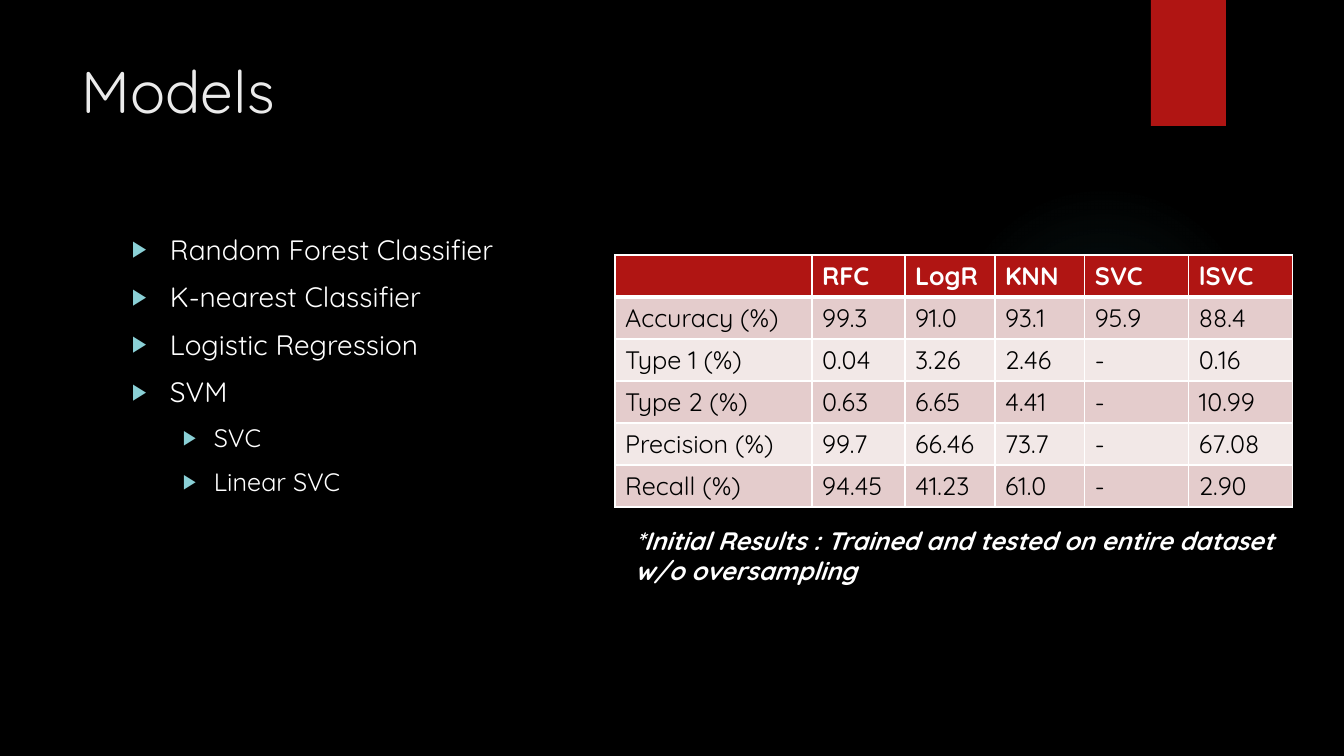
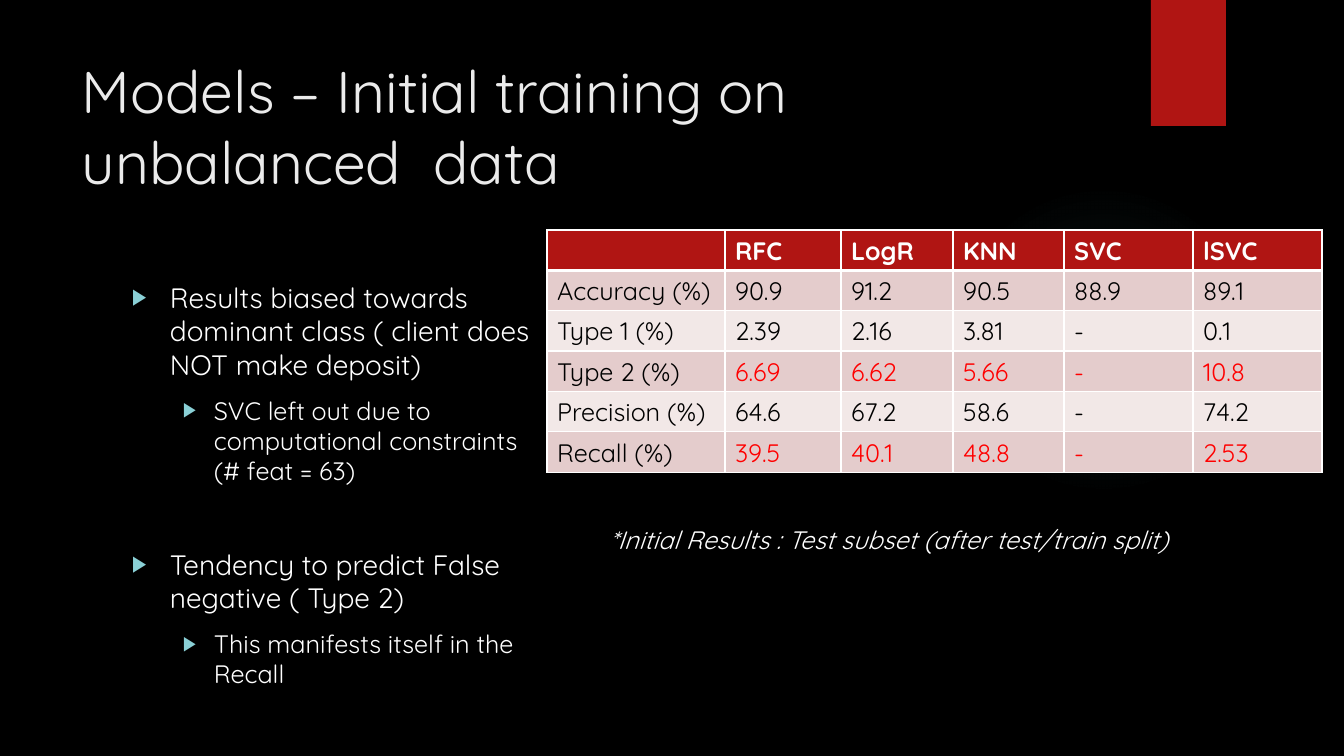
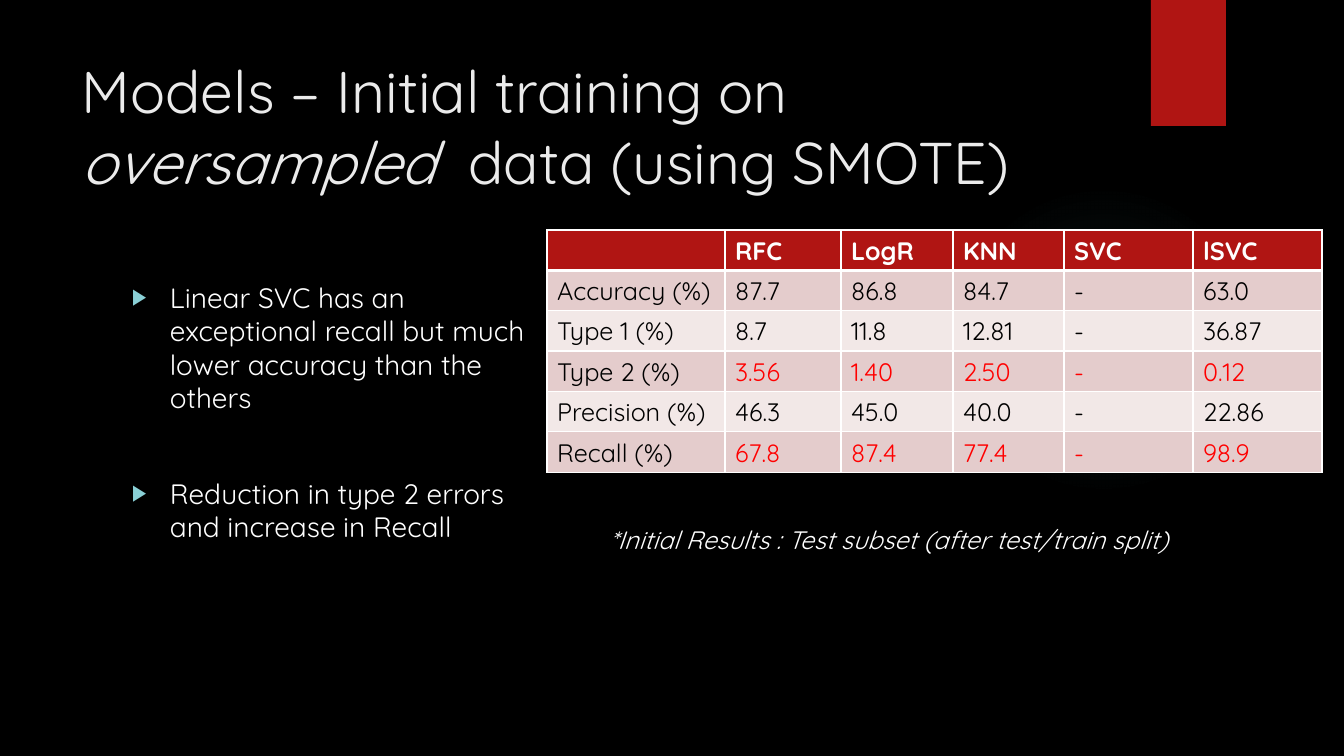
from dataclasses import dataclass

from pptx import Presentation
from pptx.dml.color import RGBColor
from pptx.enum.shapes import MSO_SHAPE as SHAPE
from pptx.enum.text import MSO_ANCHOR as ANCHOR
from pptx.oxml import parse_xml
from pptx.oxml.ns import nsdecls
from pptx.util import Emu, Pt


@dataclass(frozen=True)
class Theme:
    font: str = "Quicksand"
    background: str = "000000"
    title: str = "EBEBEB"
    text: str = "FFFFFF"
    accent: str = "B01513"
    bullet: str = "8AD0D6"
    glow: str = "50B9C1"
    cell_text: str = "000000"
    highlight: str = "FF0000"
    bands: tuple = ("E4CCCC", "F2E8E7")
    title_size: int = 42
    body_sizes: tuple = (20, 18)
    table_size: int = 18
    note_size: int = 18


T = Theme()
SLIDE_W, SLIDE_H = 1344, 756
SCALE = 12192000 / SLIDE_W

TITLE_BOX = (72, 50, 1037, 154)
BODY_BOX = (122, 227, 424, 463)
RIBBON_BOX = (1151, 0, 75, 126)
GLOW_BOX = (949, 185, 310, 310)
GLOW_STOPS = ((0, 7), (36, 6), (69, 0))  # position %, opacity %
BULLET_INDENTS = ((38, -38), (82, -31))  # left margin, first line, per level
SPACE, WIDE_SPACE = 10, 44  # points before a paragraph
INSET, LOW_INSET = 5, 53  # px above the first bullet

MODELS = ("RFC", "LogR", "KNN", "SVC", "lSVC")
METRICS = ("Accuracy (%)", "Type 1 (%)", "Type 2 (%)", "Precision (%)", "Recall (%)")
KEY_METRICS = ("Type 2 (%)", "Recall (%)")

WIDE_TABLE = dict(at=(547, 230), cols=(178, 116, 112, 111, 129, 129), row=40)
SPLIT_NOTE = dict(text="*Initial Results : Test subset (after test/train split)",
                  box=(600, 519, 702, 40), bold=False)

# Title runs are (text, italic); bullets are (level, space before, text).
SLIDES = [
    dict(
        title=[("Models", False)],
        inset=INSET,
        bullets=[
            (0, SPACE, "Random Forest Classifier"),
            (0, SPACE, "K-nearest Classifier"),
            (0, SPACE, "Logistic Regression"),
            (0, SPACE, "SVM"),
            (1, SPACE, "SVC"),
            (1, SPACE, "Linear SVC"),
        ],
        table=dict(at=(615, 255), cols=(197, 93, 90, 90, 104, 104), row=42),
        results=[
            ("99.3", "91.0", "93.1", "95.9", "88.4"),
            ("0.04", "3.26", "2.46", "-", "0.16"),
            ("0.63", "6.65", "4.41", "-", "10.99"),
            ("99.7", "66.46", "73.7", "-", "67.08"),
            ("94.45", "41.23", "61.0", "-", "2.90"),
        ],
        key_metrics=(),
        note=dict(
            text="*Initial Results : Trained and tested on entire dataset w/o oversampling",
            box=(625, 520, 661, 72), bold=True),
    ),
    dict(
        title=[("Models – Initial training on unbalanced  data", False)],
        inset=LOW_INSET,
        bullets=[
            (0, SPACE, "Results biased towards dominant class ( client does NOT make deposit)"),
            (1, SPACE, "SVC left out due to computational constraints (# feat = 63)"),
            (0, WIDE_SPACE, "Tendency to predict False negative ( Type 2)"),
            (1, SPACE, "This manifests itself in the Recall"),
        ],
        table=WIDE_TABLE,
        results=[
            ("90.9", "91.2", "90.5", "88.9", "89.1"),
            ("2.39", "2.16", "3.81", "-", "0.1"),
            ("6.69", "6.62", "5.66", "-", "10.8"),
            ("64.6", "67.2", "58.6", "-", "74.2"),
            ("39.5", "40.1", "48.8", "-", "2.53"),
        ],
        key_metrics=KEY_METRICS,
        note=SPLIT_NOTE,
    ),
    dict(
        title=[("Models – Initial training on ", False), ("oversampled", True),
               ("  data (using SMOTE)", False)],
        inset=LOW_INSET,
        bullets=[
            (0, SPACE, "Linear SVC has an exceptional recall but much lower accuracy than the others"),
            (0, WIDE_SPACE, "Reduction in type 2 errors and increase in Recall"),
        ],
        table=WIDE_TABLE,
        results=[
            ("87.7", "86.8", "84.7", "-", "63.0"),
            ("8.7", "11.8", "12.81", "-", "36.87"),
            ("3.56", "1.40", "2.50", "-", "0.12"),
            ("46.3", "45.0", "40.0", "-", "22.86"),
            ("67.8", "87.4", "77.4", "-", "98.9"),
        ],
        key_metrics=KEY_METRICS,
        note=SPLIT_NOTE,
    ),
]


def px(n):
    return Emu(round(n * SCALE))


def rgb(color):
    return RGBColor.from_string(color)


def add_run(p, text, size, color, bold=False, italic=False):
    r = p.add_run()
    r.text = text
    font = dict(name=T.font, size=Pt(size), bold=bold, italic=italic)
    for name, value in font.items():
        setattr(r.font, name, value)
    r.font.color.rgb = rgb(color)


def add_text_frame(s, box, inset=INSET):
    tf = s.shapes.add_textbox(*map(px, box)).text_frame
    frame = dict(word_wrap=True, vertical_anchor=ANCHOR.TOP, margin_top=px(inset))
    for name, value in frame.items():
        setattr(tf, name, value)
    return tf


def add_plain_shape(s, kind, box):
    sp = s.shapes.add_shape(kind, *map(px, box))
    sp.shadow.inherit = False
    sp.line.fill.background()
    return sp


def add_backdrop(s):
    """Draw the faint glow and the ribbon that every slide carries."""
    glow = add_plain_shape(s, SHAPE.OVAL, GLOW_BOX)
    stops = "".join(
        f'<a:gs pos="{pos * 1000}"><a:srgbClr val="{T.glow}">'
        f'<a:alpha val="{alpha * 1000}"/></a:srgbClr></a:gs>'
        for pos, alpha in GLOW_STOPS)
    glow.fill.background()
    no_fill = glow.fill._xPr.find("{*}noFill")
    no_fill.getparent().replace(no_fill, parse_xml(
        f'<a:gradFill {nsdecls("a")} rotWithShape="1"><a:gsLst>{stops}</a:gsLst>'
        '<a:path path="circle"><a:fillToRect l="50000" t="50000" r="50000" b="50000"/>'
        '</a:path></a:gradFill>'))

    ribbon = add_plain_shape(s, SHAPE.RECTANGLE, RIBBON_BOX)
    ribbon.fill.solid()
    ribbon.fill.fore_color.rgb = rgb(T.accent)


def add_title(s, runs):
    p = add_text_frame(s, TITLE_BOX).paragraphs[0]
    for text, italic in runs:
        add_run(p, text, T.title_size, T.title, italic=italic)


def set_bullet(p, level):
    left, first = BULLET_INDENTS[level]
    p.level = level
    pPr = p._p.get_or_add_pPr()
    pPr.set("marL", str(px(left)))
    pPr.set("indent", str(px(first)))
    for tag in (f'buClr {nsdecls("a")}><a:srgbClr val="{T.bullet}"/></a:buClr>',
                f'buSzPct {nsdecls("a")} val="80000"/>',
                f'buFont {nsdecls("a")} typeface="Arial"/>',
                f'buChar {nsdecls("a")} char="▶"/>'):
        pPr.append(parse_xml(f"<a:{tag}"))


def add_bullets(s, bullets, inset):
    tf = add_text_frame(s, BODY_BOX, inset)
    for i, (level, space, text) in enumerate(bullets):
        p = tf.add_paragraph() if i else tf.paragraphs[0]
        p.space_before = Pt(space if i else 0)
        set_bullet(p, level)
        add_run(p, text, T.body_sizes[level], T.text)


def set_borders(cell, row):
    """Rule the cell in white, thicker where the header meets the body."""
    tcPr = cell._tc.get_or_add_tcPr()
    for side in "LRTB":
        width = Pt(3 if (row, side) in ((0, "B"), (1, "T")) else 1)
        tcPr.append(parse_xml(
            f'<a:ln{side} {nsdecls("a")} w="{width}"><a:solidFill>'
            f'<a:srgbClr val="{T.text}"/></a:solidFill></a:ln{side}>'))


def add_results(s, results, key_metrics, at, cols, row):
    rows = [("", *MODELS)] + [(m, *values) for m, values in zip(METRICS, results)]
    box = (*at, sum(cols), row * len(rows))
    table = s.shapes.add_table(len(rows), len(cols), *map(px, box)).table
    for column, width in zip(table.columns, cols):
        column.width = px(width)
    for i, texts in enumerate(rows):
        table.rows[i].height = px(row)
        header = i == 0
        fill = T.accent if header else T.bands[(i - 1) % 2]
        for j, text in enumerate(texts):
            cell = table.cell(i, j)
            set_borders(cell, i)
            cell.fill.solid()
            cell.fill.fore_color.rgb = rgb(fill)
            color = T.text if header else T.cell_text
            if j and texts[0] in key_metrics:
                color = T.highlight
            if text:
                add_run(cell.text_frame.paragraphs[0], text, T.table_size, color, bold=header)


def add_note(s, text, box, bold):
    p = add_text_frame(s, box).paragraphs[0]
    add_run(p, text, T.note_size, T.text, bold=bold, italic=True)


def main():
    prs = Presentation()
    prs.slide_width, prs.slide_height = px(SLIDE_W), px(SLIDE_H)
    background = prs.slide_master.background.fill
    background.solid()
    background.fore_color.rgb = rgb(T.background)
    for content in SLIDES:
        s = prs.slides.add_slide(prs.slide_layouts[6])
        add_backdrop(s)
        add_title(s, content["title"])
        add_bullets(s, content["bullets"], content["inset"])
        add_results(s, content["results"], content["key_metrics"], **content["table"])
        add_note(s, **content["note"])
    prs.save("out.pptx")


if __name__ == "__main__":
    main()
